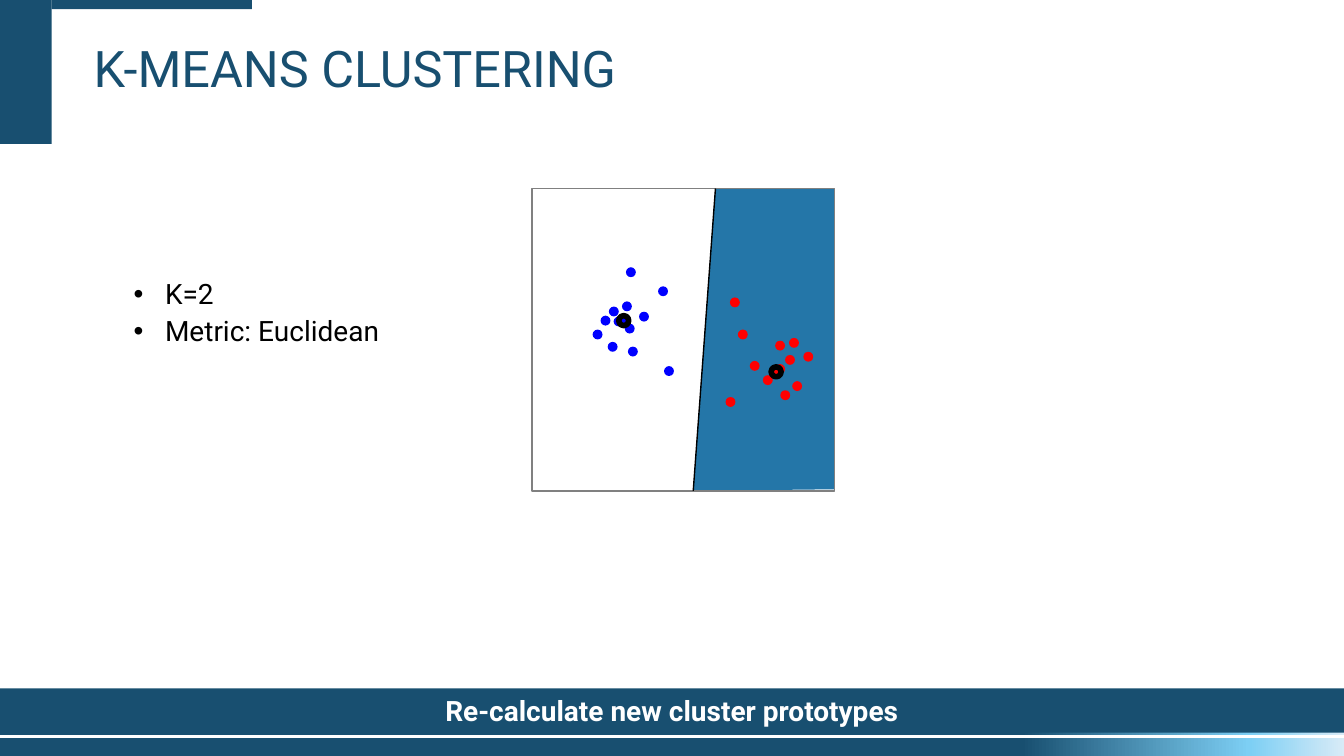
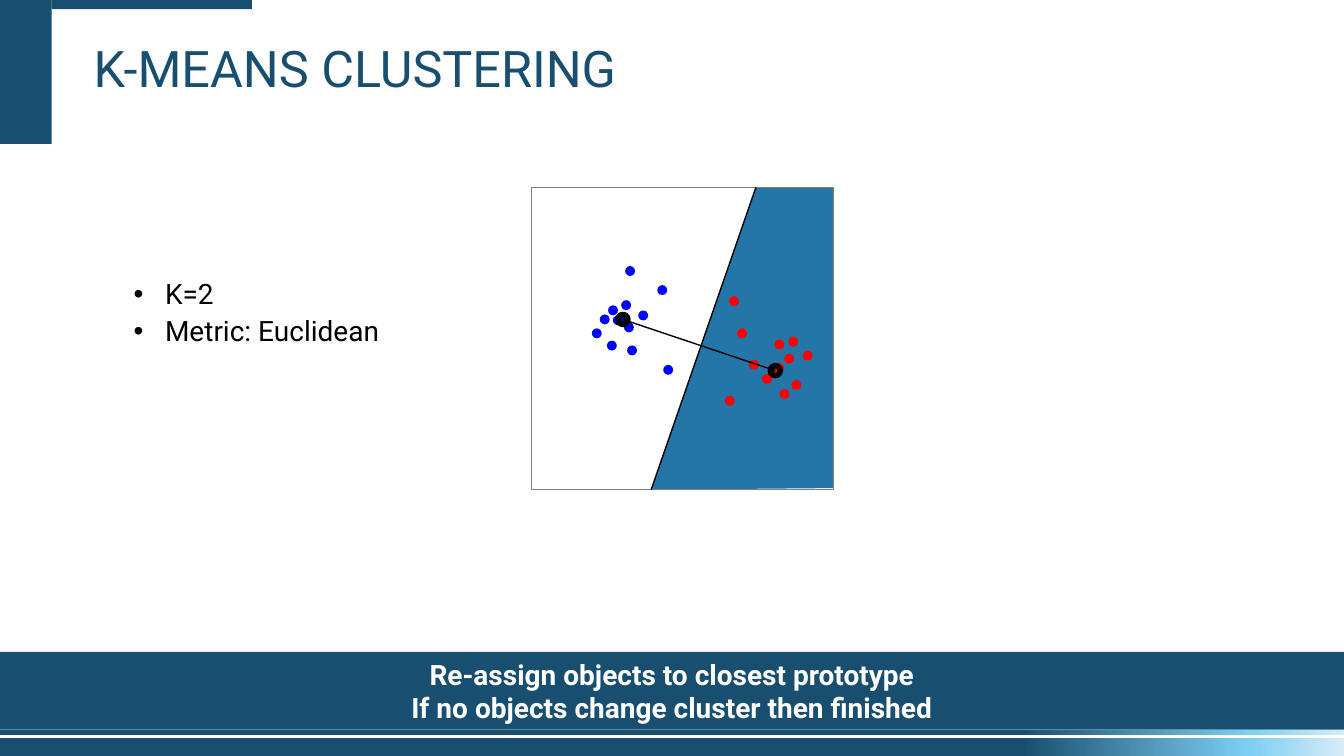
from copy import deepcopy

from lxml import etree
from pptx import Presentation
from pptx.dml.color import RGBColor
from pptx.enum.shapes import MSO_CONNECTOR, MSO_SHAPE
from pptx.enum.text import MSO_ANCHOR, MSO_AUTO_SIZE, PP_ALIGN
from pptx.oxml.ns import qn
from pptx.util import Cm, Pt

RECT = MSO_SHAPE.RECTANGLE
OVAL = MSO_SHAPE.OVAL
LINE = MSO_CONNECTOR.STRAIGHT
TOP = MSO_ANCHOR.TOP
MIDDLE = MSO_ANCHOR.MIDDLE
LEFT = PP_ALIGN.LEFT
CENTER = PP_ALIGN.CENTER
GROW = MSO_AUTO_SIZE.SHAPE_TO_FIT_TEXT

NAVY = RGBColor(0x18, 0x4F, 0x70)
STEEL = RGBColor(0x24, 0x76, 0xA8)
SKY = RGBColor(0x7D, 0xCF, 0xF4)
PALE = RGBColor(0xD8, 0xEB, 0xF7)
GRAY = RGBColor(0x80, 0x80, 0x80)
BLACK = RGBColor(0, 0, 0)
WHITE = RGBColor(0xFF, 0xFF, 0xFF)
RED = RGBColor(0xFF, 0, 0)
BLUE = RGBColor(0, 0, 0xFF)

FADE = [(0.76, NAVY), (0.93, SKY), (1, PALE)]
FONT = "Roboto"
WIDE, HIGH = 33.87, 19.05
SIDE = 7.62
DOT = 0.25

RED_DOTS = [
    (5.31, 3.68), (5.61, 4.47), (5, 5.38), (6.25, 4.55), (6.6, 3.89), (5.11, 2.87),
    (6.38, 5.21), (6.68, 4.98), (6.5, 4.32), (5.94, 4.83), (6.25, 3.96), (6.96, 4.24),
]
BLUE_DOTS = [
    (1.85, 3.33), (2.54, 4.11), (2.82, 3.23), (3.45, 4.6), (2.39, 2.97), (2.18, 3.35),
    (2.06, 3.1), (2.46, 3.53), (2.03, 3.99), (3.3, 2.59), (2.49, 2.11), (1.65, 3.68),
]
BLUE_MEAN = (2.31, 3.33)
RED_MEAN = (6.15, 4.62)


class Deck:
    def __init__(self):
        self.show = Presentation()
        self.show.slide_width = Cm(WIDE)
        self.show.slide_height = Cm(HIGH)
        self.slide = None

    def page(self, title):
        self.slide = self.show.slides.add_slide(self.show.slide_layouts[6])
        self.fade(18.59, 0.46)
        self.fade(18.39, 0.13)
        self.shape(RECT, 0, 0, 1.3, 3.63, NAVY)
        self.shape(RECT, 1.3, 0, 5.05, 0.23, NAVY)
        frame = self.box(2.11, 0.99, 23.93, 3.07)
        self.text(frame, [title], 36, NAVY, spacing=0.9)

    def paint(self, item, fill=None, line=None, weight=1):
        item.shadow.inherit = False
        if fill is None:
            item.fill.background()
        else:
            item.fill.solid()
            item.fill.fore_color.rgb = fill
        if line is None:
            item.line.fill.background()
        else:
            item.line.color.rgb = line
            item.line.width = Pt(weight)

    def shape(self, kind, x, y, w, h, fill=None, line=None, weight=1):
        item = self.slide.shapes.add_shape(kind, Cm(x), Cm(y), Cm(w), Cm(h))
        self.paint(item, fill, line, weight)
        return item

    def fade(self, y, h):
        band = self.shape(RECT, 0, y, WIDE, h)
        band.fill.gradient()
        band.fill.gradient_angle = 0
        stops = band._element.spPr.find(qn("a:gradFill")).find(qn("a:gsLst"))
        stops.append(deepcopy(stops[0]))
        for stop, (place, color) in zip(band.fill.gradient_stops, FADE):
            stop.position = place
            stop.color.rgb = color

    def box(self, x, y, w, h):
        frame = self.slide.shapes.add_textbox(Cm(x), Cm(y), Cm(w), Cm(h)).text_frame
        frame.word_wrap = True
        frame.vertical_anchor = TOP
        return frame

    def text(self, frame, lines, size, color, bold=False, align=LEFT, spacing=1.0, bullet=False):
        for i, line in enumerate(lines):
            para = frame.add_paragraph() if i else frame.paragraphs[0]
            para.alignment = align
            para.line_spacing = spacing
            if bullet:
                props = para._p.get_or_add_pPr()
                props.set("marL", str(Cm(0.79)))
                props.set("indent", str(-Cm(0.79)))
                etree.SubElement(props, qn("a:buFont"), typeface="Arial")
                etree.SubElement(props, qn("a:buChar"), char="•")
            run = para.add_run()
            run.text = line
            run.font.name = FONT
            run.font.size = Pt(size)
            run.font.bold = bold
            run.font.color.rgb = color

    def list(self, lines):
        frame = self.box(3.12, 6.76, 7.2, 2.13)
        self.text(frame, lines, 20, BLACK, spacing=Pt(26.5), bullet=True)

    def banner(self, y, h, lines):
        frame = self.shape(RECT, 0, y, WIDE, h, NAVY).text_frame
        frame.word_wrap = True
        frame.auto_size = GROW
        frame.vertical_anchor = MIDDLE
        self.text(frame, lines, 20, WHITE, True, CENTER)

    def line(self, start, end):
        ends = [Cm(v) for v in (*start, *end)]
        item = self.slide.shapes.add_connector(LINE, *ends)
        item.line.color.rgb = BLACK
        item.line.width = Pt(1)
        etree.SubElement(item._element.spPr, qn("a:effectLst"))

    def area(self, points, fill):
        first, *rest = [(Cm(x), Cm(y)) for x, y in points]
        form = self.slide.shapes.build_freeform(*first)
        form.add_line_segments(rest, close=True)
        self.paint(form.convert_to_shape(), fill)

    def dot(self, point, fill, line=None):
        x, y = point
        self.shape(OVAL, x - DOT / 2, y - DOT / 2, DOT, DOT, fill, line, 4)

    def plot(self, x, y, top, base, link=False):
        def at(point):
            return x + point[0], y + point[1]

        high, low = at((top, 0)), at((base, SIDE))
        self.area([high, at((SIDE, 0)), at((SIDE, SIDE - 0.04)), low], STEEL)
        self.shape(RECT, x, y, SIDE, SIDE, line=GRAY)
        self.line(low, high)
        for dots, color in ((RED_DOTS, RED), (BLUE_DOTS, BLUE)):
            for point in dots:
                self.dot(at(point), color)
        self.dot(at(BLUE_MEAN), BLUE, BLACK)
        self.dot(at(RED_MEAN), RED, BLACK)
        if link:
            self.line(at(BLUE_MEAN), at(RED_MEAN))


def main():
    deck = Deck()
    title = "K-MEANS CLUSTERING"
    facts = ["K=2", "Metric: Euclidean"]

    deck.page(title)
    deck.plot(13.41, 4.75, 4.62, 4.06)
    deck.banner(17.35, 1.11, ["Re-calculate new cluster prototypes"])
    deck.list(facts)

    deck.page(title)
    deck.plot(13.39, 4.72, 5.66, 3.02, link=True)
    deck.banner(16.43, 1.96, [
        "Re-assign objects to closest prototype",
        "If no objects change cluster then finished",
    ])
    deck.list(facts)

    deck.show.save("out.pptx")


if __name__ == "__main__":
    main()
